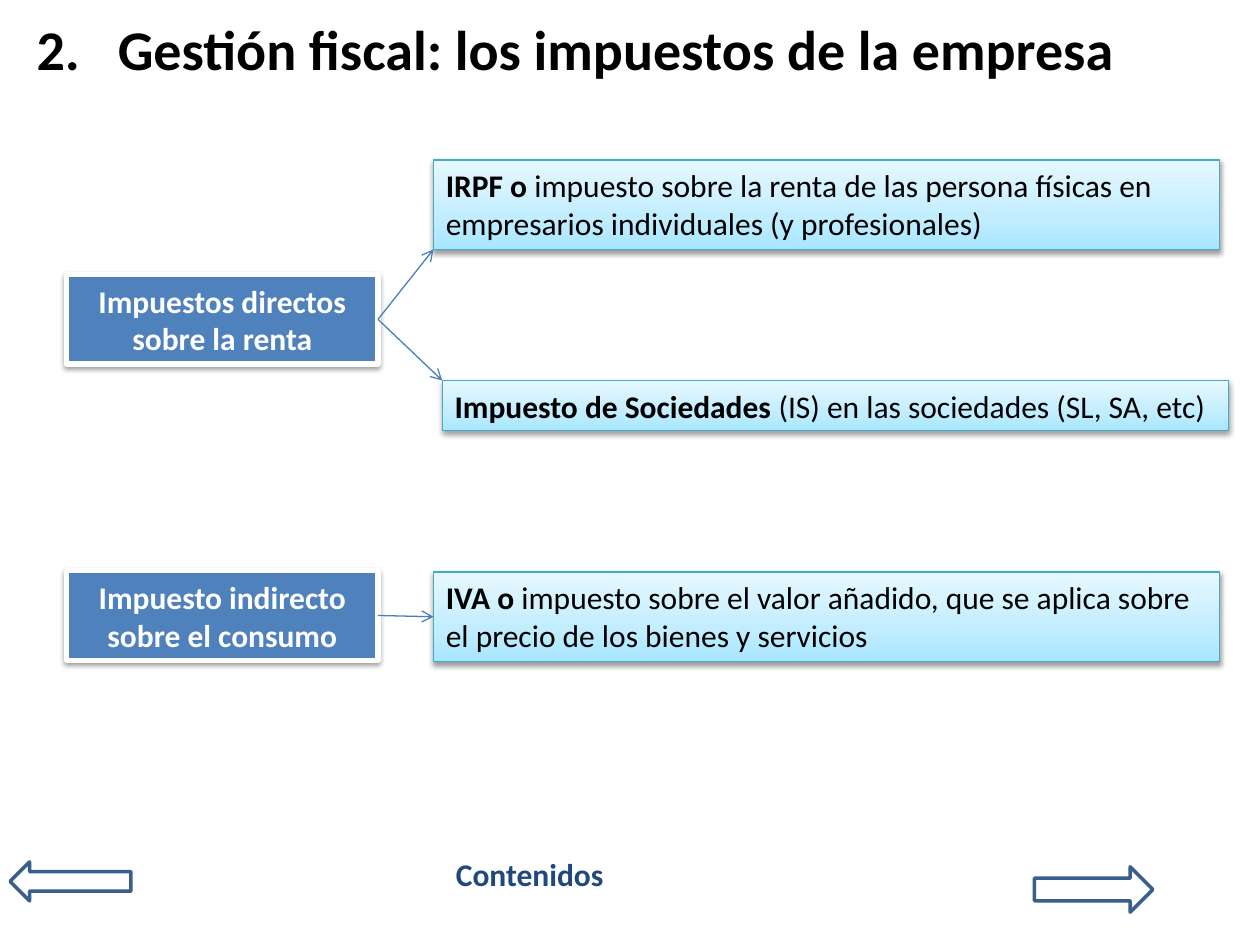
"""Builds a slide that sorts company taxes into direct and indirect ones."""
from copy import deepcopy

from lxml import etree
from pptx import Presentation
from pptx.dml.color import RGBColor
from pptx.enum.shapes import MSO_CONNECTOR, MSO_SHAPE
from pptx.enum.text import MSO_ANCHOR, MSO_AUTO_SIZE, PP_ALIGN
from pptx.oxml.ns import qn
from pptx.util import Inches, Pt

RECTANGLE = MSO_SHAPE.RECTANGLE
LEFT_ARROW, RIGHT_ARROW = MSO_SHAPE.LEFT_ARROW, MSO_SHAPE.RIGHT_ARROW
STRAIGHT = MSO_CONNECTOR.STRAIGHT
LEFT, CENTER = PP_ALIGN.LEFT, PP_ALIGN.CENTER
TOP, MIDDLE = MSO_ANCHOR.TOP, MSO_ANCHOR.MIDDLE
FIT_SHAPE, NO_FIT = MSO_AUTO_SIZE.SHAPE_TO_FIT_TEXT, MSO_AUTO_SIZE.NONE
LEFT_SIDE, RIGHT_SIDE = 1, 3

FONT = "Calibri"
COLORS = {
    "text": "000000", "white": "FFFFFF", "category": "4F81BD",
    "tax_line": "46AAC5", "link": "4B7EBC", "arrow": "3A5F8C",
    "contents": "1F497D",
}
TAX_GRADIENT = [(0, "A7E6FF"), (0.35, "C1EDFF"), (1, "E7F8FF")]


def rgb(name):
    """Return the named colour."""
    return RGBColor.from_string(COLORS[name])


def write(box, spans, size, color, align=LEFT, anchor=TOP, fit=NO_FIT):
    """Write (text, bold) spans as the single paragraph of a box."""
    frame = box.text_frame
    frame.word_wrap = True
    frame.auto_size = fit
    frame.vertical_anchor = anchor
    para = frame.paragraphs[0]
    para.alignment = align
    para.font.name = FONT
    para.font.size = Pt(size)
    para.font.color.rgb = rgb(color)
    for text, bold in spans:
        span = para.add_run()
        span.text = text
        span.font.bold = bold


def add_outlined(page, kind, place, color, width):
    """Add a preset shape with a coloured outline and no shadow."""
    box = page.shapes.add_shape(kind, *map(Inches, place))
    box.shadow.inherit = False
    box.line.color.rgb = rgb(color)
    box.line.width = Pt(width)
    return box


def add_shadow(box):
    """Give a box a soft shadow that falls downwards."""
    effects = box._element.spPr.find(qn("a:effectLst"))
    shadow = etree.SubElement(
        effects, qn("a:outerShdw"), blurRad=str(Pt(3.1)), dist=str(Pt(1.6)),
        dir="5400000", rotWithShape="0")
    color = etree.SubElement(shadow, qn("a:srgbClr"), val="000000")
    etree.SubElement(color, qn("a:alpha"), val="38000")


def fill_gradient(box):
    """Fill a box with the tax gradient, from bottom to top."""
    box.fill.gradient()
    box.fill.gradient_angle = 90
    stop_list = box._element.spPr.find(qn("a:gradFill")).find(qn("a:gsLst"))
    stop_list.append(deepcopy(stop_list[-1]))
    for stop, (position, color) in zip(box.fill.gradient_stops, TAX_GRADIENT):
        stop.position = position
        stop.color.rgb = RGBColor.from_string(color)


def add_category(page, top, text):
    """Add a blue box that names a kind of tax."""
    box = add_outlined(page, RECTANGLE, (0.53, top, 2.47, 0.71), "white", 3)
    box.fill.solid()
    box.fill.fore_color.rgb = rgb("category")
    add_shadow(box)
    write(box, [(text, True)], 18, "white", CENTER, MIDDLE, FIT_SHAPE)
    return box


def add_tax(page, left, top, height, name, description):
    """Add a pale box with a bold tax name and its description."""
    place = (left, top, 6.24, height)
    box = add_outlined(page, RECTANGLE, place, "tax_line", 0.75)
    fill_gradient(box)
    add_shadow(box)
    write(box, [(name, True), (description, False)], 18, "text", fit=FIT_SHAPE)
    return box


def add_link(page, category, end_x, end_y):
    """Draw an arrow from the right side of a category to a point."""
    link = page.shapes.add_connector(STRAIGHT, 0, 0, end_x, end_y)
    link.begin_connect(category, RIGHT_SIDE)
    link.line.color.rgb = rgb("link")
    link.line.width = Pt(0.75)
    properties = link._element.spPr
    etree.SubElement(properties.find(qn("a:ln")), qn("a:tailEnd"), type="arrow")
    etree.SubElement(properties, qn("a:effectLst"))
    return link


def add_navigation(page, kind, place):
    """Add a hollow navigation arrow."""
    arrow = add_outlined(page, kind, place, "arrow", 2)
    arrow.fill.background()


def add_title(page, text):
    """Place and write the slide title."""
    title = page.shapes.title
    title.left, title.top, title.width, title.height = map(
        Inches, (0.19, 0, 9.81, 0.76))
    write(title, [(text, True)], 32, "text", anchor=MIDDLE)


def main():
    """Build and save the slide."""
    deck = Presentation()
    deck.slide_width, deck.slide_height = Inches(10), Inches(7.5)
    page = deck.slides.add_slide(deck.slide_layouts[5])

    add_title(page, "2.   Gestión fiscal: los impuestos de la empresa")
    add_navigation(page, LEFT_ARROW, (0.08, 6.84, 0.96, 0.31))
    add_navigation(page, RIGHT_ARROW, (8.21, 6.88, 0.94, 0.36))
    contents = page.shapes.add_textbox(*map(Inches, (3.52, 6.74, 1.44, 0.4)))
    write(contents, [("Contenidos", True)], 18, "contents", fit=FIT_SHAPE)

    direct = add_category(page, 2.18, "Impuestos directos sobre la renta")
    indirect = add_category(page, 4.53, "Impuesto indirecto sobre el consumo")
    income = add_tax(
        page, 3.44, 1.27, 0.71, "IRPF o ",
        "impuesto sobre la renta de las persona físicas en "
        "empresarios individuales (y profesionales)")
    corporate = add_tax(
        page, 3.51, 3.02, 0.4, "Impuesto de Sociedades ",
        "(IS) en las sociedades (SL, SA, etc)")
    value_added = add_tax(
        page, 3.44, 4.54, 0.71, "IVA o ",
        "impuesto sobre el valor añadido, que se aplica sobre "
        "el precio de los bienes y servicios")

    add_link(page, direct, income.left, income.top + income.height)
    add_link(page, direct, corporate.left, corporate.top)
    link = add_link(page, indirect, value_added.left, value_added.top)
    link.end_connect(value_added, LEFT_SIDE)
    deck.save("out.pptx")


if __name__ == "__main__":
    main()
